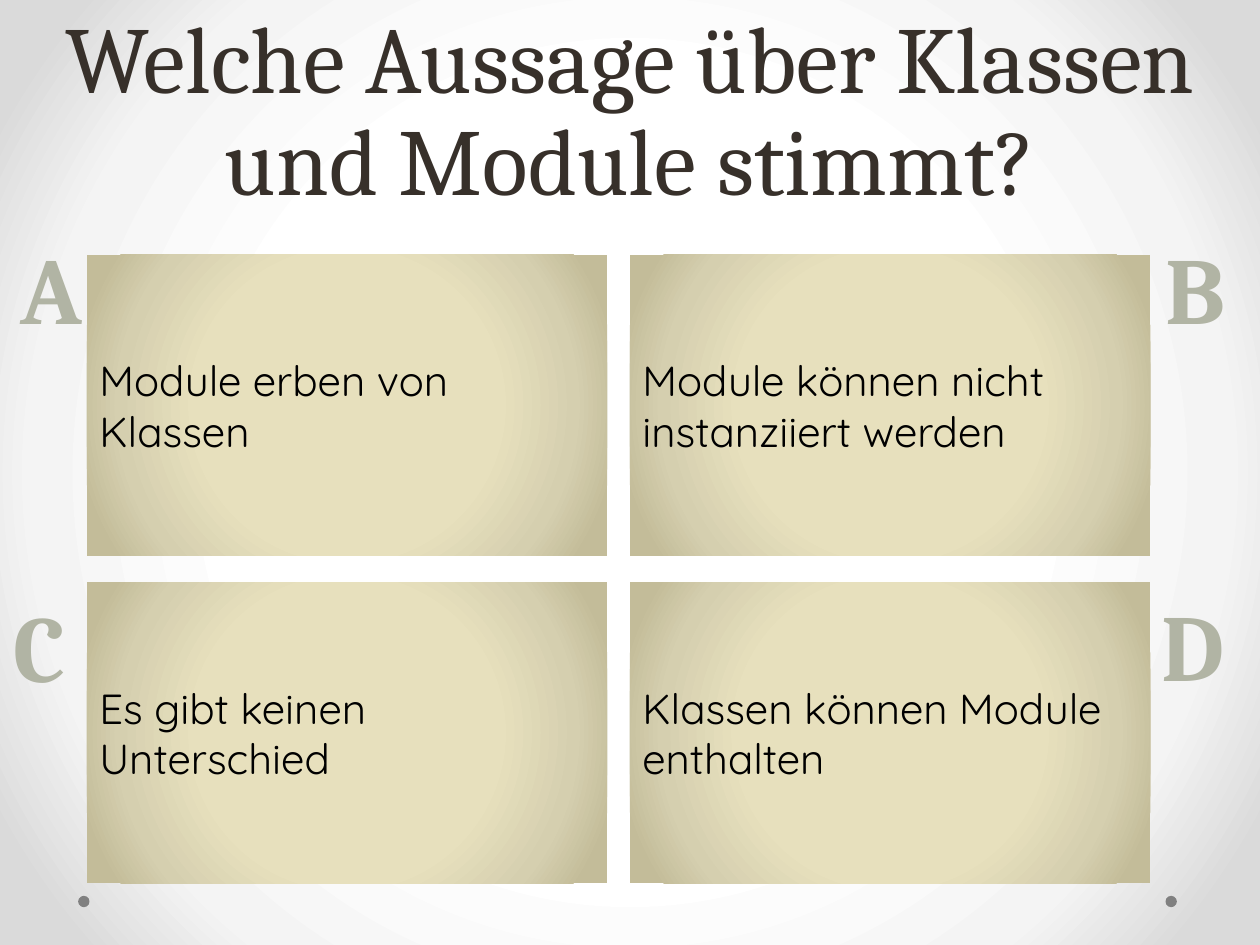
"""Quiz slide with four lettered answers on a two by two grid."""
from dataclasses import dataclass

import lxml.etree
import pptx
import pptx.dml.color
import pptx.enum.shapes
import pptx.enum.text
import pptx.oxml.ns
import pptx.util


@dataclass(frozen=True)
class Theme:
    """Colours, fonts and type sizes of the slide."""
    serif: str = "Cambria"
    sans: str = "Quicksand"
    large: int = 54
    body: int = 24
    title_spacing: int = 58
    title: str = "37302A"
    text: str = "000000"
    dot: str = "808080"
    outline: str = "81827D"
    page: tuple = ((50, "FFFFFF"), (76, "F4F4F4"), (92, "DADADA"))
    card: tuple = ((50, "E7E0BD"), (76, "D5CFAF"), (92, "C3BC99"))
    letter: tuple = ((0, "585952"), (43, "B1B4A4"), (48, "A5A799"), (100, "585952"))


THEME = Theme()
WIDTH, HEIGHT = 10, 7.5
LEFT, TOP = 0.69, 2.02
COLUMN, ROW = 4.31, 2.6
CARD_WIDTH, CARD_HEIGHT = 4.13, 2.39
ANSWERS = (
    ("A", "Module erben von Klassen", (0.01, 1.78, 0.79)),
    ("B", "Module können nicht instanziiert werden", (9.14, 1.78, 0.7)),
    ("C", "Es gibt keinen Unterschied", (-0.06, 4.62, 0.75)),
    ("D", "Klassen können Module enthalten", (9.05, 4.61, 0.83)),
)


def inches(*lengths):
    """Convert lengths in inches to slide units."""
    return [pptx.util.Inches(length) for length in lengths]


def colour(value):
    """Return the colour for a hex string."""
    return pptx.dml.color.RGBColor.from_string(value)


def add_node(parent, tag, **attributes):
    """Append a drawing element with the given attributes."""
    node = lxml.etree.SubElement(parent, pptx.oxml.ns.qn(tag))
    for name, value in attributes.items():
        node.set(name, str(value))
    return node


def set_gradient(fill, owner, stops, radial=True):
    """Fill with a centred circular gradient or a downward linear one."""
    fill.gradient()
    gradient = next(owner.iter(pptx.oxml.ns.qn("a:gradFill")))
    for child in list(gradient):
        gradient.remove(child)
    stop_list = add_node(gradient, "a:gsLst")
    for share, value in stops:
        stop = add_node(stop_list, "a:gs", pos=share * 1000)
        add_node(stop, "a:srgbClr", val=value)
    if radial:
        circle = add_node(gradient, "a:path", path="circle")
        add_node(circle, "a:fillToRect", l=50000, t=50000, r=50000, b=50000)
    else:
        add_node(gradient, "a:lin", ang=90 * 60000, scaled=0)


def add_shape(page, kind, *frame):
    """Add a preset shape without line or shadow."""
    shape = page.shapes.add_shape(kind, *inches(*frame))
    shape.shadow.inherit = False
    shape.line.fill.background()
    return shape


def write(box, text, font, size, align, anchor):
    """Write one run into a box and return its paragraph and run."""
    frame = box.text_frame
    frame.word_wrap = True
    frame.vertical_anchor = anchor
    para = frame.paragraphs[0]
    para.alignment = align
    span = para.add_run()
    span.text = text
    span.font.name = font
    span.font.size = pptx.util.Pt(size)
    return para, span


def add_dot(page, left):
    """Add a small footer dot."""
    dot = add_shape(page, pptx.enum.shapes.MSO_SHAPE.OVAL, left, 7.11, 0.09, 0.09)
    dot.fill.solid()
    dot.fill.fore_color.rgb = colour(THEME.dot)


def add_letter(page, letter, left, top, width):
    """Add a large outlined answer letter."""
    box = page.shapes.add_textbox(*inches(left, top, width, 1.01))
    _, span = write(box, letter, THEME.serif, THEME.large,
                    pptx.enum.text.PP_ALIGN.CENTER, pptx.enum.text.MSO_ANCHOR.TOP)
    box.text_frame.word_wrap = False
    box.text_frame.auto_size = pptx.enum.text.MSO_AUTO_SIZE.SHAPE_TO_FIT_TEXT
    span.font.bold = True
    set_gradient(span.font.fill, box.element, THEME.letter, radial=False)
    properties = span.font.fill and next(box.element.iter(pptx.oxml.ns.qn("a:rPr")))
    line = add_node(properties, "a:ln", w=pptx.util.Pt(0.71))
    add_node(add_node(line, "a:solidFill"), "a:srgbClr", val=THEME.outline)
    properties.insert(0, line)


def add_card(page, text, column, row):
    """Add an answer card at a grid position."""
    card = add_shape(page, pptx.enum.shapes.MSO_SHAPE.RECTANGLE,
                     LEFT + column * COLUMN, TOP + row * ROW, CARD_WIDTH, CARD_HEIGHT)
    set_gradient(card.fill, card.element, THEME.card)
    para, span = write(card, text, THEME.sans, THEME.body,
                       pptx.enum.text.PP_ALIGN.LEFT, pptx.enum.text.MSO_ANCHOR.MIDDLE)
    para.space_before = pptx.util.Pt(THEME.body * 0.2)
    span.font.color.rgb = colour(THEME.text)


def add_title(page, text):
    """Add the question across the top of the slide."""
    box = page.shapes.add_textbox(*inches(0, 0, WIDTH, 1.75))
    para, span = write(box, text, THEME.serif, THEME.large,
                       pptx.enum.text.PP_ALIGN.CENTER, pptx.enum.text.MSO_ANCHOR.BOTTOM)
    para.line_spacing = pptx.util.Pt(THEME.title_spacing)
    span.font.color.rgb = colour(THEME.title)


def main():
    """Build and save the quiz slide."""
    deck = pptx.Presentation()
    deck.slide_width, deck.slide_height = inches(WIDTH, HEIGHT)
    page = deck.slides.add_slide(deck.slide_layouts[6])
    set_gradient(page.background.fill, page.element, THEME.page)
    for left in (9.25, 0.62):
        add_dot(page, left)
    for letter, _, place in ANSWERS:
        add_letter(page, letter, *place)
    add_title(page, "Welche Aussage über Klassen und Module stimmt?")
    for index, (_, answer, _) in enumerate(ANSWERS):
        row, column = divmod(index, 2)
        add_card(page, answer, column, row)
    deck.save("out.pptx")


if __name__ == "__main__":
    main()
